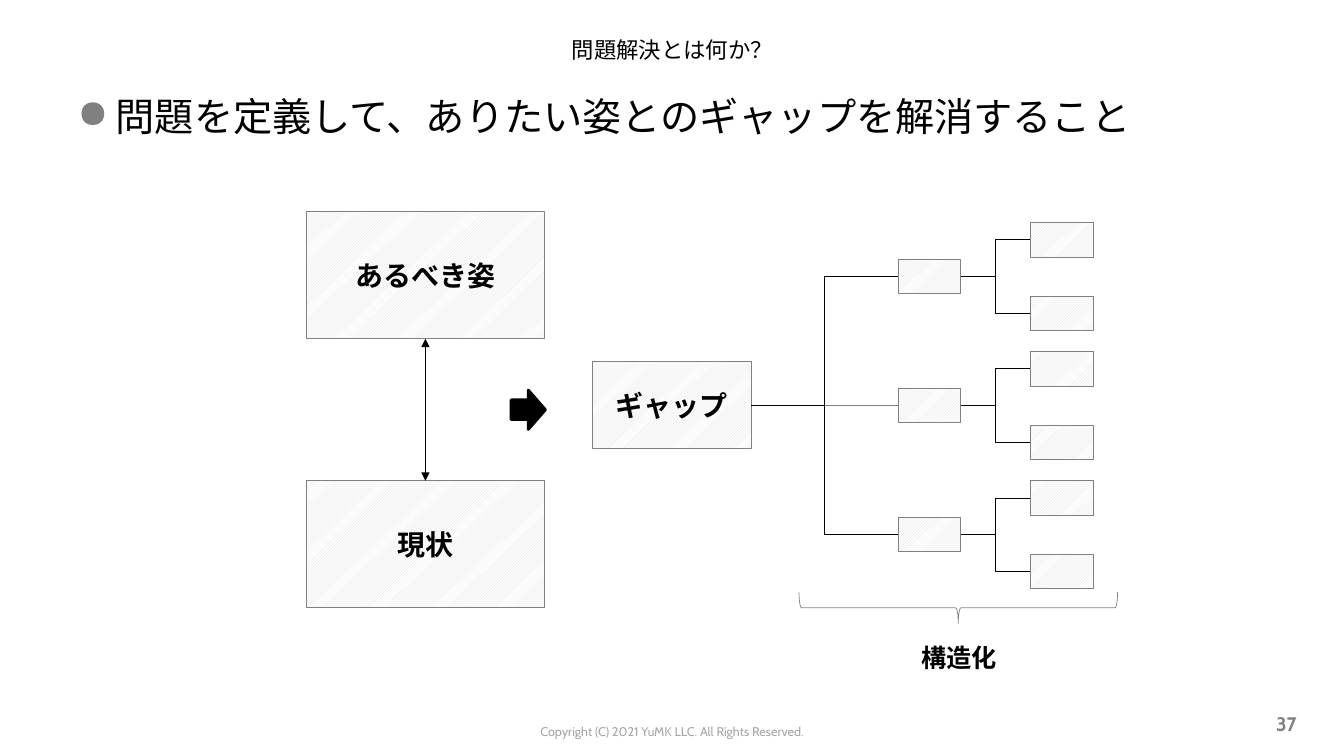
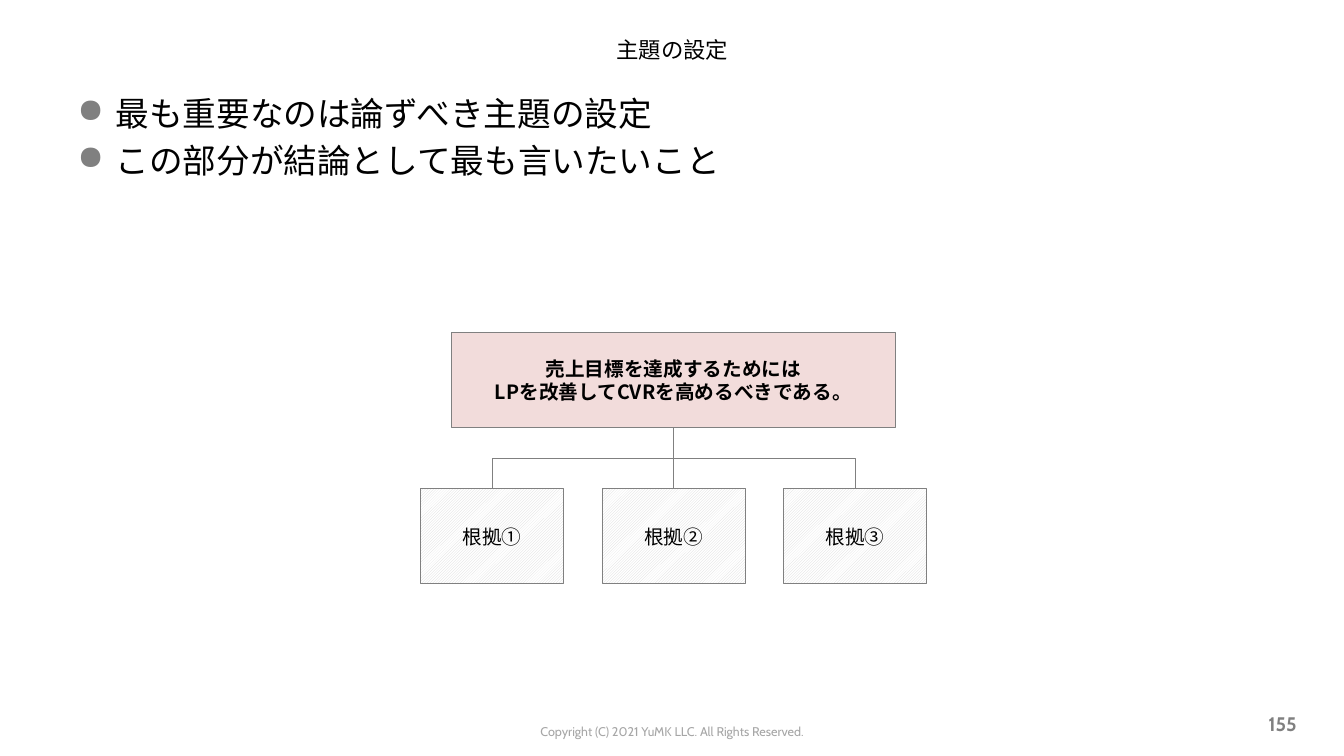
from dataclasses import dataclass

from lxml import etree
from pptx import Presentation
from pptx.dml.color import RGBColor
from pptx.enum.dml import MSO_PATTERN
from pptx.enum.shapes import MSO_CONNECTOR, MSO_SHAPE
from pptx.enum.text import MSO_ANCHOR, PP_ALIGN
from pptx.oxml.ns import qn
from pptx.util import Pt

PX = 9144
RECT = MSO_SHAPE.RECTANGLE
RIGHT_ARROW = MSO_SHAPE.RIGHT_ARROW
LEFT_BRACE = MSO_SHAPE.LEFT_BRACE
STRAIGHT = MSO_CONNECTOR.STRAIGHT
ELBOW = MSO_CONNECTOR.ELBOW
HATCH = MSO_PATTERN.LIGHT_UPWARD_DIAGONAL
LEFT, CENTER, RIGHT = PP_ALIGN.LEFT, PP_ALIGN.CENTER, PP_ALIGN.RIGHT
TOP, MIDDLE = MSO_ANCHOR.TOP, MSO_ANCHOR.MIDDLE
SIDE_TOP, SIDE_LEFT, SIDE_BOTTOM, SIDE_RIGHT = range(4)


@dataclass(frozen=True)
class Theme:
    """Colours, fonts and type sizes shared by the slides."""
    black: str = "000000"
    white: str = "FFFFFF"
    grey: str = "808080"
    pale_grey: str = "A6A6A6"
    hatch: str = "D9D9D9"
    pink: str = "F2DCDB"
    text_font: str = "Noto Sans CJK JP"
    footer_font: str = "Cabin"
    title_size: int = 16
    box_size: int = 20
    caption_size: int = 18
    small_size: int = 14
    copyright_size: int = 9
    hairline: float = 0.5
    arrow_line: float = 2
    line_pitch: float = 1.2
    bullet_gap: float = 0.2


THEME = Theme()


def px(*lengths):
    """Turn px lengths into EMU."""
    return [round(length * PX) for length in lengths]


def rgb(colour):
    """Read a hex colour."""
    return RGBColor.from_string(colour)


def write(shape, text, size, align=CENTER, anchor=MIDDLE, bold=False,
          colour=THEME.black, font=THEME.text_font, wrap=True):
    """Fill a shape with evenly styled text."""
    frame = shape.text_frame
    frame.text = text
    frame.word_wrap = wrap
    frame.vertical_anchor = anchor
    for paragraph in frame.paragraphs:
        paragraph.alignment = align
        if len(frame.paragraphs) > 1:
            paragraph.line_spacing = Pt(size * THEME.line_pitch)
        for run in paragraph.runs:
            run.font.size = Pt(size)
            run.font.bold = bold
            run.font.color.rgb = rgb(colour)
            run.font.name = font
            etree.SubElement(run.font._element, qn("a:ea"), typeface=font)
    return frame


def add_text(slide, box, text, size, **style):
    """Place a text box."""
    return write(slide.shapes.add_textbox(*px(*box)), text, size, **style)


def add_figure(slide, kind, box, colour=THEME.grey, weight=THEME.hairline):
    """Place an outlined preset shape without fill."""
    figure = slide.shapes.add_shape(kind, *px(*box))
    figure.shadow.inherit = False
    figure.fill.background()
    figure.line.color.rgb = rgb(colour)
    figure.line.width = Pt(weight)
    return figure


def add_node(slide, box, text="", size=THEME.box_size, bold=True, solid=None):
    """Place a diagram box, hatched unless a solid colour is given."""
    node = add_figure(slide, RECT, box)
    if solid:
        node.fill.solid()
        node.fill.fore_color.rgb = rgb(solid)
    else:
        node.fill.patterned()
        node.fill.pattern = HATCH
        node.fill.fore_color.rgb = rgb(THEME.hatch)
        node.fill.back_color.rgb = rgb(THEME.white)
    if text:
        write(node, text, size, bold=bold)
    return node


def style_link(link, colour, arrows=False):
    """Give a connector its line and optional arrowheads at both ends."""
    link.line.color.rgb = rgb(colour)
    link.line.width = Pt(THEME.hairline)
    if arrows:
        line = link.line._get_or_add_ln()
        for end in ("a:headEnd", "a:tailEnd"):
            etree.SubElement(line, qn(end), type="triangle")
    etree.SubElement(link._element.spPr, qn("a:effectLst"))


def join(slide, kind, start, end, sides, colour=THEME.black, arrows=False):
    """Connect two boxes from one side to another."""
    link = slide.shapes.add_connector(kind, 0, 0, 0, 0)
    link.begin_connect(start, sides[0])
    link.end_connect(end, sides[1])
    style_link(link, colour, arrows)


def drop(slide, parent, child):
    """Draw an elbow from the bottom of the parent to the top of the child."""
    x0, y0 = parent.left + parent.width // 2, parent.top + parent.height
    x1, y1 = child.left + child.width // 2, child.top
    rightward = x1 > x0
    middle_x, middle_y = (x0 + x1) // 2, (y0 + y1) // 2
    half_drop, half_span = (y1 - y0) // 2, abs(x1 - x0) // 2
    lead = half_drop if rightward else -half_drop
    link = slide.shapes.add_connector(
        ELBOW, middle_x + lead, middle_y - half_span,
        middle_x - lead, middle_y + half_span)
    link._element.spPr.xfrm.set("rot", "16200000" if rightward else "5400000")
    style_link(link, THEME.grey)


def add_bullets(slide, box, text, size):
    """Write the bulleted statements under the title."""
    frame = add_text(slide, box, text, size, align=LEFT, anchor=TOP)
    for index, paragraph in enumerate(frame.paragraphs):
        paragraph.line_spacing = Pt(size * THEME.line_pitch)
        if index:
            paragraph.space_before = Pt(size * THEME.bullet_gap)
        props = paragraph._p.get_or_add_pPr()
        props.set("marL", str(38 * PX))
        props.set("indent", str(-38 * PX))
        bullet_colour = etree.SubElement(props, qn("a:buClr"))
        etree.SubElement(bullet_colour, qn("a:srgbClr"), val=THEME.grey)
        etree.SubElement(props, qn("a:buChar"), char="●")


def add_page(deck, title, statements, size, number):
    """Start a slide with title, statements and footer."""
    slide = deck.slides.add_slide(deck.slide_layouts[6])
    add_text(slide, (420, 713, 493, 25),
             "Copyright (C) 2021 YuMK LLC. All Rights Reserved.",
             THEME.copyright_size, anchor=TOP, colour=THEME.pale_grey,
             font=THEME.footer_font)
    add_text(slide, (67, 22, 1200, 54), title, THEME.title_size)
    add_bullets(slide, (67, 87, 1200, 577), statements, size)
    add_text(slide, (985, 698, 311, 40), number, THEME.small_size, align=RIGHT,
             bold=True, colour=THEME.grey, font=THEME.footer_font)
    return slide


def draw_comparison(slide, left, top):
    """Show the ideal above the present state, with an arrow to the gap."""
    ideal = add_node(slide, (left, top, 236, 126), "あるべき姿")
    present = add_node(slide, (left, top + 267, 236, 126), "現状")
    join(slide, STRAIGHT, ideal, present, (SIDE_BOTTOM, SIDE_TOP), arrows=True)
    arrow = add_figure(slide, RIGHT_ARROW, (left + 203, top + 177, 34, 39),
                       THEME.black, THEME.arrow_line)
    arrow.fill.solid()
    arrow.fill.fore_color.rgb = rgb(THEME.black)


def draw_gap_tree(slide, left, top):
    """Break the gap down into three branches of two leaves."""
    across = (SIDE_RIGHT, SIDE_LEFT)
    gap = add_node(slide, (left, top + 138, 157, 86), "ギャップ")
    for row in range(3):
        row_top = top + 128 * row
        branch = add_node(slide, (left + 303, row_top + 36, 62, 34))
        if row == 1:
            join(slide, STRAIGHT, gap, branch, across, THEME.grey)
        else:
            join(slide, ELBOW, gap, branch, across)
        for leaf_top in (row_top, row_top + 73):
            leaf = add_node(slide, (left + 434, leaf_top, 62, 34))
            join(slide, ELBOW, branch, leaf, across)
    brace = add_figure(slide, LEFT_BRACE, (left + 347, top + 224, 31, 316))
    brace.rotation = 270
    add_text(slide, (left + 316, top + 411, 96, 40), "構造化",
             THEME.caption_size, align=LEFT, anchor=TOP, bold=True, wrap=False)


def draw_argument(slide, left, top):
    """Show the claim above its three grounds."""
    claim = add_node(slide, (left + 31, top, 440, 94),
                     "売上目標を達成するためには\nLPを改善してCVRを高めるべきである。",
                     THEME.small_size, solid=THEME.pink)
    for index, mark in enumerate("①②③"):
        ground = add_node(slide, (left + 180 * index, top + 155, 142, 94),
                          f"根拠{mark}", THEME.small_size, bold=False)
        if index == 1:
            join(slide, STRAIGHT, claim, ground, (SIDE_BOTTOM, SIDE_TOP), THEME.grey)
        else:
            drop(slide, claim, ground)


def main():
    """Build and save the deck."""
    deck = Presentation()
    deck.slide_width, deck.slide_height = px(1333, 750)
    problem = add_page(deck, "問題解決とは何か？",
                       "問題を定義して、ありたい姿とのギャップを解消すること", 28, "37")
    draw_comparison(problem, 304, 210)
    draw_gap_tree(problem, 588, 221)
    subject = add_page(deck, "主題の設定",
                       "最も重要なのは論ずべき主題の設定\nこの部分が結論として最も言いたいこと",
                       24, "155")
    draw_argument(subject, 417, 330)
    deck.save("out.pptx")


if __name__ == "__main__":
    main()
